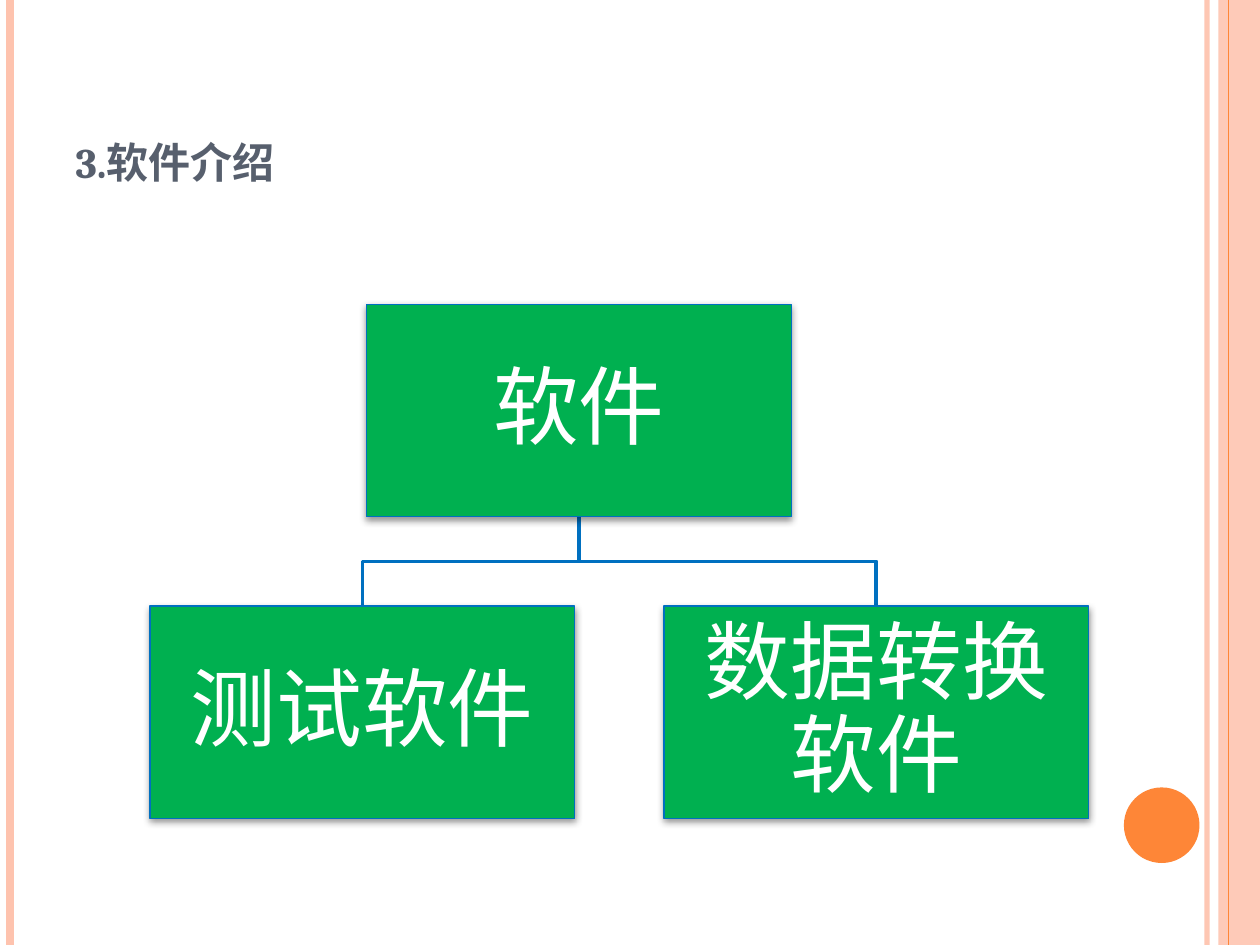
from dataclasses import dataclass

from lxml import etree
from pptx import Presentation
from pptx import util as u
from pptx.dml.color import RGBColor
from pptx.enum import shapes, text
from pptx.oxml.ns import qn


@dataclass(frozen=True)
class Theme:
    font: str = "Cambria"
    head: str = "575F6D"
    pale: str = "FEC3AE"
    warm: str = "FE8637"
    box: str = "00B050"
    edge: str = "0070C0"
    white: str = "FFFFFF"
    black: str = "000000"
    head_size: int = 30
    box_size: int = 49


class Deck:
    """Places elements by percent of the slide's width and height."""

    def __init__(self, theme):
        self.theme = theme
        self.prs = Presentation()
        self.prs.slide_width = u.Inches(10)
        self.prs.slide_height = u.Inches(7.5)
        self.slide = self.prs.slides.add_slide(self.prs.slide_layouts[5])

    def x(self, share):
        return round(self.prs.slide_width * share / 100)

    def y(self, share):
        return round(self.prs.slide_height * share / 100)

    def area(self, left, top, wide, high):
        return self.x(left), self.y(top), self.x(wide), self.y(high)

    def alpha(self, fill, share):
        color = next(fill.iter(qn("a:srgbClr")))
        etree.SubElement(color, qn("a:alpha"), val=str(share * 1000))

    def font(self, para, size, color, bold=False):
        para.font.name = self.theme.font
        para.font.size = u.Pt(size)
        para.font.bold = bold
        para.font.color.rgb = RGBColor.from_string(color)

    def stroke(self, line, color, width):
        line.color.rgb = RGBColor.from_string(color)
        line.width = u.Pt(width)

    def title(self, words, *area):
        shape = self.slide.shapes.title
        shape.left, shape.top, shape.width, shape.height = self.area(*area)
        frame = shape.text_frame
        frame.text = words
        frame.auto_size = text.MSO_AUTO_SIZE.NONE
        frame.vertical_anchor = text.MSO_ANCHOR.BOTTOM
        para = frame.paragraphs[0]
        para.alignment = text.PP_ALIGN.LEFT
        self.font(para, self.theme.head_size, self.theme.head, True)
        para.runs[0]._r.get_or_add_rPr().set("cap", "small")

    def rule(self, left, color, width, alpha=100):
        line = self.slide.shapes.add_connector(
            shapes.MSO_CONNECTOR.STRAIGHT, self.x(left), 0, self.x(left), self.y(100))
        self.stroke(line.line, color, width)
        if alpha < 100:
            self.alpha(line.line._ln, alpha)
        etree.SubElement(line._element.spPr, qn("a:effectLst"))

    def shape(self, kind, color, *area, alpha=100):
        shape = self.slide.shapes.add_shape(kind, *self.area(*area))
        shape.shadow.inherit = False
        shape.fill.solid()
        shape.fill.fore_color.rgb = RGBColor.from_string(color)
        shape.line.fill.background()
        if alpha < 100:
            self.alpha(shape._element.spPr, alpha)
        return shape

    def box(self, words, *area):
        shape = self.shape(shapes.MSO_SHAPE.RECTANGLE, self.theme.box, *area)
        self.stroke(shape.line, self.theme.edge, 0.75)
        # Soft shadow straight below
        glow = etree.SubElement(
            shape._element.spPr.find(qn("a:effectLst")), qn("a:outerShdw"),
            blurRad=str(u.Pt(4)), dist=str(u.Pt(1.6)), dir="5400000", rotWithShape="0")
        etree.SubElement(glow, qn("a:srgbClr"), val=self.theme.black)
        self.alpha(glow, 42)
        # Label
        frame = shape.text_frame
        frame.word_wrap = True
        frame.vertical_anchor = text.MSO_ANCHOR.MIDDLE
        frame.margin_left = frame.margin_right = u.Inches(0.03)
        frame.margin_top = frame.margin_bottom = u.Inches(0.03)
        frame.text = words
        para = frame.paragraphs[0]
        para.alignment = text.PP_ALIGN.CENTER
        para.line_spacing = 0.9
        self.font(para, self.theme.box_size, self.theme.white)

    def branch(self, start, end):
        mid = (start[1] + end[1]) / 2
        spots = [start, (start[0], mid), (end[0], mid), end]
        first, *rest = [(self.x(a), self.y(b)) for a, b in spots]
        form = self.slide.shapes.build_freeform(*first)
        form.add_line_segments(rest, close=False)
        shape = form.convert_to_shape()
        shape.shadow.inherit = False
        shape.fill.background()
        self.stroke(shape.line, self.theme.edge, 2)


def main():
    theme = Theme()
    deck = Deck(theme)

    # Side bands and dot
    deck.rule(95.8, theme.pale, 3, alpha=93)
    deck.rule(0.8, theme.pale, 4.5)
    deck.rule(97.5, theme.warm, 0.75)
    deck.shape(shapes.MSO_SHAPE.RECTANGLE, theme.pale, 96.7, 0, 3.3, 100, alpha=87)
    deck.rule(97.5, theme.warm, 0.75)
    deck.shape(shapes.MSO_SHAPE.OVAL, theme.warm, 89.2, 83.33, 6, 8)

    # Title
    deck.title("3.软件介绍", 5, 4, 81.7, 16.67)

    # Tree: branches first, then boxes on top
    wide, high = 33.7, 22.5
    root = ("软件", 29.1, 32.2)
    leaves = [("测试软件", 11.9, 64.13), ("数据转换软件", 52.7, 64.13)]
    for _, left, top in leaves:
        deck.branch((root[1] + wide / 2, root[2] + high), (left + wide / 2, top))
    for words, left, top in [root, *leaves]:
        deck.box(words, left, top, wide, high)

    deck.prs.save("out.pptx")


if __name__ == "__main__":
    main()
